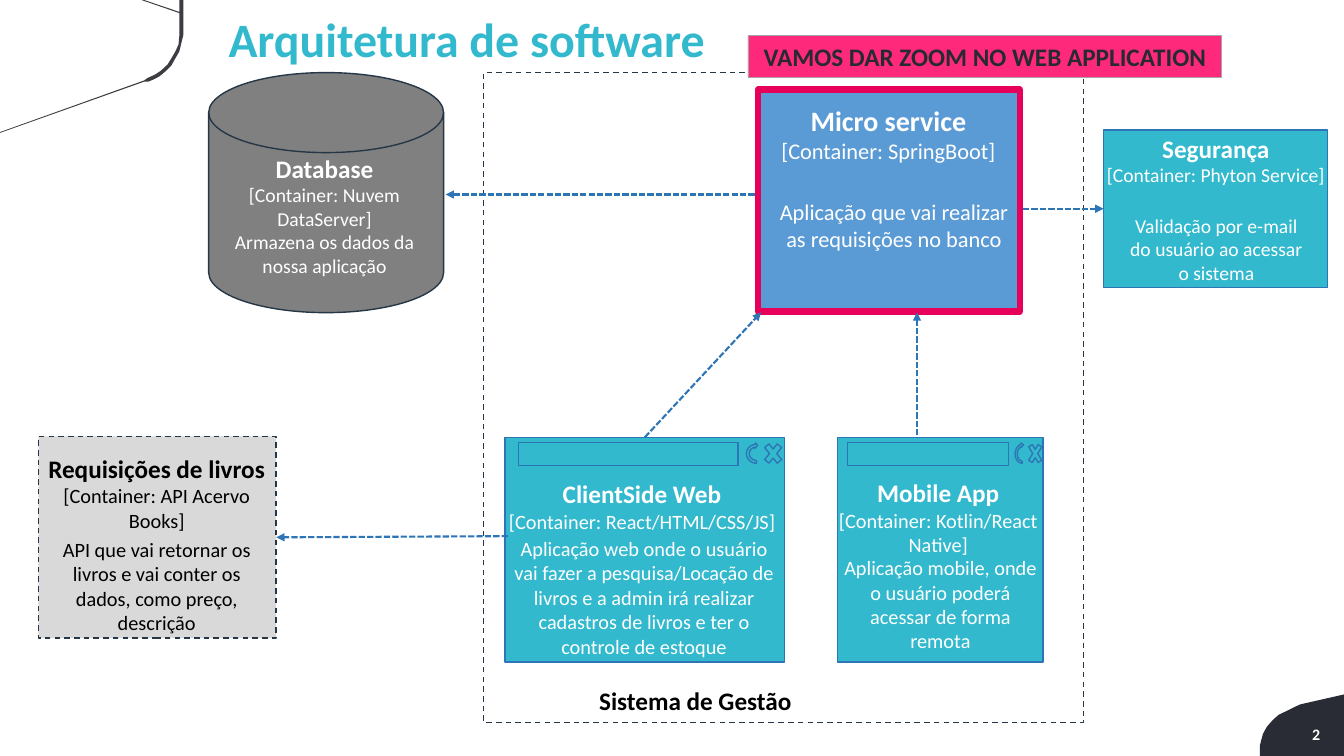
from lxml.etree import SubElement
from pptx import Presentation
from pptx.dml.color import RGBColor
from pptx.enum.dml import MSO_LINE
from pptx.enum.shapes import MSO_CONNECTOR, MSO_SHAPE
from pptx.enum.text import MSO_ANCHOR, PP_ALIGN
from pptx.oxml.ns import qn
from pptx.util import Cm, Pt

COLOURS = {
    "white": "FFFFFF", "black": "000000", "teal": "32B9CD", "blue": "5B9BD5",
    "edge": "2E75B6", "navy": "253746", "grey": "808080", "pale": "D9D9D9",
    "pink": "FF297B", "crimson": "E6005A", "silver": "A5A5A5",
    "ink": "272A30", "corner": "292C34", "stroke": "3B3D42",
}
PALETTE = {name: RGBColor.from_string(code) for name, code in COLOURS.items()}

deck = Presentation()
deck.slide_width, deck.slide_height = Cm(33.87), Cm(19.05)
page = deck.slides.add_slide(deck.slide_layouts[6])


def draw(kind, bounds, fill, line, weight=1, dash=None):
    box = page.shapes.add_shape(kind, *[Cm(value) for value in bounds])
    box.shadow.inherit = False
    if fill:
        box.fill.solid()
        box.fill.fore_color.rgb = PALETTE[fill]
    else:
        box.fill.background()
    box.line.color.rgb = PALETTE[line]
    box.line.width = Pt(weight)
    if dash:
        box.line.dash_style = dash
    return box


def write(box, lines, colour, align=PP_ALIGN.CENTER):
    frame = box.text_frame
    frame.word_wrap = True
    for index, (text, size, bold) in enumerate(lines):
        para = frame.add_paragraph() if index else frame.paragraphs[0]
        para.alignment = align
        span = para.add_run()
        span.text = text
        span.font.name = "Calibri"
        span.font.size = Pt(size)
        span.font.bold = bold
        span.font.color.rgb = PALETTE[colour]
    return frame


corner_points = [
    (33.87, 17.5), (32.77, 17.75), (32.64, 17.81), (32.44, 17.91),
    (32.23, 18.01), (32.08, 18.14), (31.93, 18.31), (31.83, 18.49),
    (31.78, 18.67), (31.75, 18.8), (31.75, 19.05), (33.87, 19.05),
]
stroke_points = [
    (0, 3.35), (3.63, 2.06), (3.73, 2.06), (3.86, 2.01), (4.01, 1.93),
    (4.17, 1.8), (4.32, 1.65), (4.42, 1.47), (4.52, 1.3), (4.57, 1.09),
    (4.62, 0.89), (4.62, 0), (4.52, 0), (4.52, 0.3), (3.63, 0), (3.56, 0),
    (4.52, 0.33), (4.52, 0.91), (4.5, 1.12), (4.42, 1.3), (4.32, 1.47),
    (4.22, 1.63), (4.06, 1.78), (3.91, 1.88), (3.73, 1.96), (3.63, 2.03),
    (0, 3.33),
]
for colour, points in (("corner", corner_points), ("stroke", stroke_points)):
    corners = [(Cm(x), Cm(y)) for x, y in points]
    builder = page.shapes.build_freeform(*corners[0])
    builder.add_line_segments(corners[1:], close=True)
    outline = builder.convert_to_shape()
    outline.shadow.inherit = False
    outline.fill.solid()
    outline.fill.fore_color.rgb = PALETTE[colour]
    outline.line.fill.background()

number = page.shapes.add_textbox(Cm(31.75), Cm(18.24), Cm(1.57), Cm(0.53))
number_frame = write(number, [("2", 11.4, True)], "white", PP_ALIGN.RIGHT)
number_frame.margin_left = number_frame.margin_right = Cm(0.05)
number_frame.margin_top = number_frame.margin_bottom = Cm(0.03)

title = page.shapes.add_textbox(Cm(5.51), Cm(0.28), Cm(27.15), Cm(1.93))
title_frame = write(title, [("Arquitetura de software", 34.2, True)], "teal", PP_ALIGN.LEFT)
title_frame.paragraphs[0].line_spacing = 0.9

draw(MSO_SHAPE.FLOWCHART_MAGNETIC_DISK, (5.26, 1.83, 5.92, 6.05), "grey", "navy")

windows = []
for window_left, window_width, bar_left, bar_width, cross, arrow in (
    (12.73, 7.04, 13.06, 5.54, (19.18, 11.05, 0.61, 0.76), (18.8, 11.13, 0.56, 0.61)),
    (21.11, 5.18, 21.36, 4.06, (25.86, 11.05, 0.46, 0.76), (25.5, 11.2, 0.56, 0.46)),
):
    windows.append(draw(MSO_SHAPE.RECTANGLE, (window_left, 11.02, window_width, 5.66), "teal", "edge"))
    draw(MSO_SHAPE.RECTANGLE, (bar_left, 11.15, bar_width, 0.58), None, "edge")
    draw(MSO_SHAPE.MATH_MULTIPLY, cross, None, "edge")
    draw(MSO_SHAPE.CIRCULAR_ARROW, arrow, None, "edge").rotation = 275
client = windows[0]

draw(MSO_SHAPE.RECTANGLE, (12.19, 1.83, 15.11, 16.38), None, "navy", 1, MSO_LINE.DASH)
draw(MSO_SHAPE.RECTANGLE, (19.1, 2.26, 6.6, 5.59), "blue", "crimson", 4.5)
requests = draw(MSO_SHAPE.RECTANGLE, (0.97, 11, 5.99, 5.08), "pale", "navy", 1, MSO_LINE.DASH)
security = draw(MSO_SHAPE.RECTANGLE, (27.81, 3.28, 5.64, 3.96), "teal", "edge")
banner = draw(MSO_SHAPE.RECTANGLE, (18.85, 0.89, 11.94, 1.07), "pink", "silver", 0.5)
banner_frame = write(banner, [("VAMOS DAR ZOOM NO WEB APPLICATION", 18, True)], "ink")
banner_frame.vertical_anchor = MSO_ANCHOR.MIDDLE

captions = [
    ((5.08, 3.73, 6.2, 3.51), "white", [
        ("Database", 18, True),
        ("[Container: Nuvem DataServer]", 14, False),
        ("Armazena os dados da nossa aplicação", 14, False)]),
    ((12.52, 11.94, 7.32, 1.65), "white", [
        ("ClientSide Web", 18, True),
        ("[Container: React/HTML/CSS/JS]", 14.5, False)]),
    ((12.57, 13.39, 7.32, 3.35), "white", [
        ("Aplicação web onde o usuário vai fazer a pesquisa/Locação de livros e a "
         "admin irá realizar cadastros de livros e ter o controle de estoque", 14.5, False)]),
    ((20.75, 11.91, 5.79, 2.26), "white", [
        ("Mobile App", 18, True),
        ("[Container: Kotlin/React Native]", 14.5, False)]),
    ((21.01, 13.87, 5.38, 2.74), "white", [
        ("Aplicação mobile, onde o usuário poderá acessar de forma remota", 14.5, False)]),
    ((14.53, 17.15, 5.99, 1.02), "black", [("Sistema de Gestão", 18, True)]),
    ((18.82, 2.49, 7.14, 1.8), "white", [
        ("Micro service", 20, True),
        ("[Container: SpringBoot]", 16, False)]),
    ((19.33, 4.88, 6.4, 1.63), "white", [
        ("Aplicação que vai realizar as requisições no banco", 16, False)]),
    ((0.71, 11.3, 6.48, 2.26), "black", [
        ("Requisições de livros", 18, True),
        ("[Container: API Acervo Books]", 14.5, False)]),
    ((1.09, 13.41, 5.72, 2.74), "black", [
        ("API que vai retornar os livros e vai conter os dados, como preço, descrição", 14.5, False)]),
    ((28.19, 5.26, 4.93, 2.06), "white", [
        ("Validação por e-mail do usuário ao acessar o sistema", 14, False)]),
    ((27.53, 3.23, 6.22, 1.63), "white", [
        ("Segurança", 18, True),
        ("[Container: Phyton Service]", 14, False)]),
]
for bounds, colour, lines in captions:
    write(page.shapes.add_textbox(*[Cm(value) for value in bounds]), lines, colour)

links = [
    ((12.8, 13.51, 6.91, 13.49), None, (requests, 3)),
    ((19.02, 4.9, 11.23, 4.9), None, None),
    ((16.23, 11.02, 19.18, 7.87), (client, 0), None),
    ((23.11, 10.97, 23.11, 7.87), None, None),
    ((25.78, 5.26, 27.81, 5.26), None, (security, 1)),
]
for ends, source, target in links:
    link = page.shapes.add_connector(MSO_CONNECTOR.STRAIGHT, *[Cm(value) for value in ends])
    if source:
        link.begin_connect(*source)
    if target:
        link.end_connect(*target)
    link.line.color.rgb = PALETTE["edge"]
    link.line.width = Pt(1.5)
    link.line.dash_style = MSO_LINE.SQUARE_DOT
    SubElement(link.line._get_or_add_ln(), qn("a:tailEnd"), type="triangle")
    SubElement(link._element.spPr, qn("a:effectLst"))

deck.save("out.pptx")
